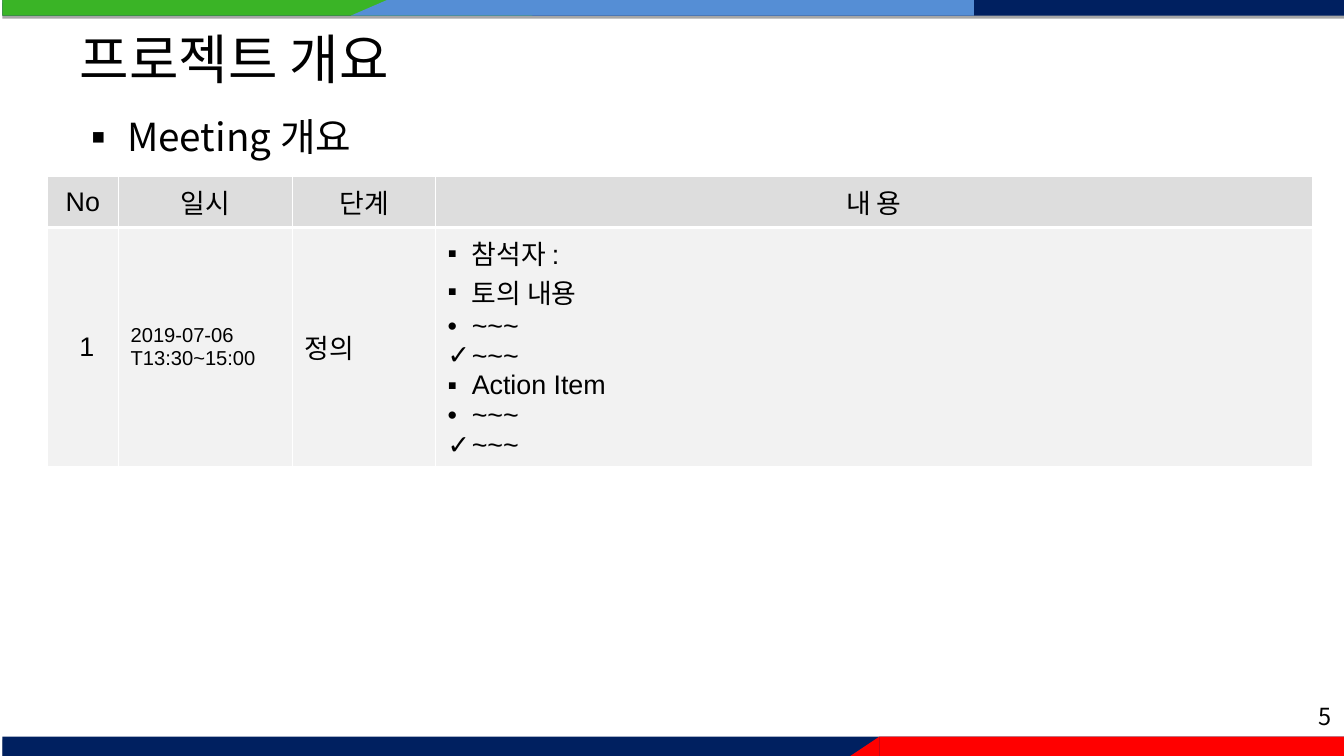
from lxml.etree import SubElement
from pptx import Presentation
from pptx.dml.color import RGBColor
from pptx.enum.shapes import MSO_SHAPE
from pptx.enum.text import MSO_ANCHOR, MSO_AUTO_SIZE, PP_ALIGN
from pptx.oxml.ns import qn
from pptx.util import Inches, Pt

COLORS = {
    "navy": "002060", "red": "FF0000", "green": "3AB426", "blue": "558ED5",
    "text": "000000", "header": "DDDDDD", "body": "F2F2F2", "border": "FFFFFF",
}
KOREAN = "Noto Sans CJK KR"
WIDTH, HEIGHT = 11.11, 6.25


def add_solid_fill(parent, color):
    fill = SubElement(parent, qn("a:solidFill"))
    SubElement(fill, qn("a:srgbClr"), val=COLORS[color])


def write(frame, lines, size=16, font="Arial", align=PP_ALIGN.LEFT,
          bullets="", indent=0.2, anchor=MSO_ANCHOR.MIDDLE):
    """Fill a text frame or cell with one paragraph per line."""
    frame.vertical_anchor = anchor
    text_frame = getattr(frame, "text_frame", frame)
    for index, line in enumerate(lines):
        para = text_frame.add_paragraph() if index else text_frame.paragraphs[0]
        if bullets:
            props = para._p.get_or_add_pPr()
            props.set("marL", str(Inches(indent)))
            props.set("indent", str(-Inches(indent)))
            add_solid_fill_parent = SubElement(props, qn("a:buClr"))
            SubElement(add_solid_fill_parent, qn("a:srgbClr"), val=COLORS["text"])
            SubElement(props, qn("a:buFont"), typeface=font)
            SubElement(props, qn("a:buChar"), char=bullets[index])
        para.alignment = align
        para.space_before = Pt(0)
        span = para.add_run()
        span.text = line
        span.font.size = Pt(size)
        span.font.name = font
        span.font.color.rgb = RGBColor.from_string(COLORS["text"])
        SubElement(span.font._element, qn("a:ea"), typeface=KOREAN)


deck = Presentation()
deck.slide_width, deck.slide_height = Inches(WIDTH), Inches(HEIGHT)
page = deck.slides.add_slide(deck.slide_layouts[1])

# Coloured bands: left, right, colour, slanted end, shadow
EDGE = 0.02
bands = {
    (HEIGHT - 0.16, 0.16): [
        (EDGE, WIDTH, "navy", False, True),
        (7.03, 7.27, "red", True, False),
        (7.27, WIDTH, "red", False, False),
    ],
    (0, 0.13): [
        (EDGE, WIDTH, "navy", False, True),
        (EDGE, 4.4, "green", False, False),
        (3.2, 8.05, "blue", False, False),
        (2.9, 3.2, "blue", True, False),
    ],
}
for (top, height), parts in bands.items():
    for left, right, color, slanted, shadowed in parts:
        kind = MSO_SHAPE.RIGHT_TRIANGLE if slanted else MSO_SHAPE.RECTANGLE
        band = page.shapes.add_shape(kind, Inches(left), Inches(top),
                                     Inches(right - left), Inches(height))
        band.fill.solid()
        band.fill.fore_color.rgb = RGBColor.from_string(COLORS[color])
        band.line.fill.background()
        band.shadow.inherit = False
        props = band._element.spPr
        if slanted:
            props.find(qn("a:xfrm")).set("flipH", "1")
        if shadowed:
            shadow = SubElement(props.find(qn("a:effectLst")), qn("a:outerShdw"),
                                dist=str(Pt(1.8)), dir="5400000", rotWithShape="0")
            shade = SubElement(shadow, qn("a:srgbClr"), val=COLORS["text"])
            SubElement(shade, qn("a:alpha"), val="35000")

# Title, subject and page number
title, subject = page.placeholders
number = page.shapes.add_textbox(0, 0, 0, 0)
for box, left, top, width, height in [
    (title, 0.56, 0.25, 10, 0.46),
    (subject, 0.56, 0.88, 10, 0.5),
    (number, 10.56, 5.75, 0.55, 0.34),
]:
    box.left, box.top = Inches(left), Inches(top)
    box.width, box.height = Inches(width), Inches(height)
    box.text_frame.word_wrap = True
    box.text_frame.auto_size = MSO_AUTO_SIZE.NONE
write(title.text_frame, ["프로젝트 개요"], size=32, font=KOREAN)
write(subject.text_frame, ["Meeting 개요"], size=23, font=KOREAN,
      bullets="▪", indent=0.39, anchor=MSO_ANCHOR.TOP)
write(number.text_frame, ["5"], size=14, font=KOREAN, align=PP_ALIGN.RIGHT)

# Meeting table
columns = [0.59, 1.44, 1.18, 7.25]
rows = [0.37, 1.97]
table = page.shapes.add_table(len(rows), len(columns), Inches(0.39), Inches(1.46),
                              Inches(sum(columns)), Inches(sum(rows))).table
table.first_row = table.horz_banding = False
for column, width in zip(table.columns, columns):
    column.width = Inches(width)
for row, height in zip(table.rows, rows):
    row.height = Inches(height)

for cell, heading in zip(table.rows[0].cells, ["No", "일시", "단계", "내 용"]):
    write(cell, [heading], align=PP_ALIGN.CENTER)
order, date, stage, content = table.rows[1].cells
order.margin_left, order.margin_right = Inches(0.08), Inches(0.2)
write(order, ["1"], align=PP_ALIGN.RIGHT)
write(date, ["2019-07-06", "T13:30~15:00"], size=12)
write(stage, ["정의"])
write(content, ["참석자 :", "토의 내용", "~~~", "~~~", "Action Item", "~~~", "~~~"],
      bullets="▪▪•✓▪•✓")

for row, fill, thick_side in zip(table.rows, ["header", "body"], ["lnB", "lnT"]):
    for cell in row.cells:
        props = cell._tc.get_or_add_tcPr()
        for side in ["lnL", "lnR", "lnT", "lnB"]:
            weight = Pt(1.47 if side == thick_side else 0.45)
            add_solid_fill(SubElement(props, qn(f"a:{side}"), w=str(weight)), "border")
        add_solid_fill(props, fill)

deck.save("out.pptx")
